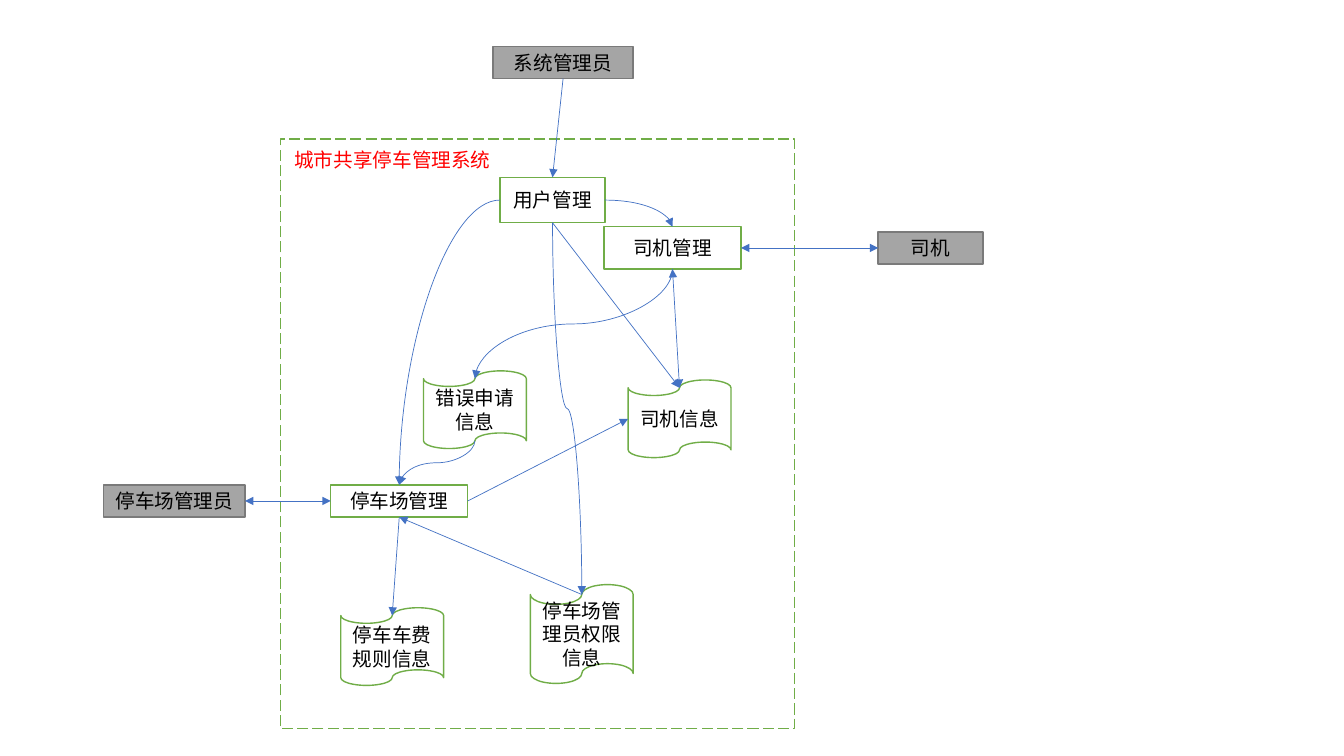
from pptx import Presentation
from pptx.dml.color import RGBColor
from pptx.enum.dml import MSO_LINE
from pptx.enum.shapes import MSO_CONNECTOR as LINK, MSO_SHAPE as SHAPE
from pptx.enum.text import MSO_ANCHOR, MSO_AUTO_SIZE, PP_ALIGN
from pptx.oxml.ns import qn
from pptx.oxml.xmlchemy import OxmlElement
from pptx.util import Inches, Pt

FONT = "Noto Sans CJK SC"
WHITE = RGBColor(0xFF, 0xFF, 0xFF)
BLACK = RGBColor(0, 0, 0)
RED = RGBColor(0xFF, 0, 0)
GREEN = RGBColor(0x70, 0xAD, 0x47)
GRAY = RGBColor(0xA5, 0xA5, 0xA5)
DARK_GRAY = RGBColor(0x7A, 0x7A, 0x7A)
BLUE = RGBColor(0x44, 0x72, 0xC4)
TAPE_WIDTH, TAPE_HEIGHT = 1.02, 0.77
ACTOR_HEIGHT = 0.32


def write(frame, text, color):
    frame.text = text
    for run in frame.paragraphs[0].runs:
        run.font.size = Pt(14)
        run.font.name = FONT
        run.font.color.rgb = color
        east_asian = OxmlElement("a:ea")
        east_asian.set("typeface", FONT)
        run.font._element.find(qn("a:latin")).addnext(east_asian)


def add_box(shapes, kind, left, top, width, height, fill=WHITE, outline=GREEN):
    box = shapes.add_shape(kind, Inches(left), Inches(top), Inches(width), Inches(height))
    box.shadow.inherit = False
    box.fill.solid()
    box.fill.fore_color.rgb = fill
    box.line.color.rgb = outline
    box.line.width = Pt(1)
    return box


def add_node(shapes, text, *geometry, kind=SHAPE.RECTANGLE, **colors):
    node = add_box(shapes, kind, *geometry, **colors)
    write(node.text_frame, text, BLACK)
    node.text_frame.word_wrap = True
    node.text_frame.vertical_anchor = MSO_ANCHOR.MIDDLE
    node.text_frame.paragraphs[0].alignment = PP_ALIGN.CENTER
    return node


def add_actor(shapes, text, left, top, width):
    return add_node(shapes, text, left, top, width, ACTOR_HEIGHT,
                    fill=GRAY, outline=DARK_GRAY)


def add_store(shapes, text, left, top, height=TAPE_HEIGHT):
    return add_node(shapes, text, left, top, TAPE_WIDTH, height, kind=SHAPE.WAVE_STORE
                    if hasattr(SHAPE, "WAVE_STORE") else SHAPE.FLOWCHART_PUNCHED_TAPE)


def add_system(shapes, title):
    """Dashed system boundary grouped with its title."""
    system = shapes.add_group_shape().shapes
    boundary = add_box(system, SHAPE.RECTANGLE, 2.78, 1.38, 5.1, 5.85)
    boundary.line.dash_style = MSO_LINE.LONG_DASH
    label = system.add_textbox(Inches(2.82), Inches(1.42), Inches(2.33), Inches(0.34))
    write(label.text_frame, title, RED)
    label.text_frame.word_wrap = False
    label.text_frame.auto_size = MSO_AUTO_SIZE.SHAPE_TO_FIT_TEXT


def side_point(node, side):
    """Middle of a side; a tape's wavy edges cross it a tenth inside."""
    is_tape = node.auto_shape_type == SHAPE.FLOWCHART_PUNCHED_TAPE
    wave = node.height // 10 if is_tape else 0
    center_x = node.left + node.width // 2
    center_y = node.top + node.height // 2
    return {
        "top": (center_x, node.top + wave),
        "bottom": (center_x, node.top + node.height - wave),
        "left": (node.left, center_y),
        "right": (node.left + node.width, center_y),
    }[side]


def style_arrow(arrow, both_ends):
    arrow.line.color.rgb = BLUE
    arrow.line.width = Pt(0.5)
    properties = arrow.element.spPr
    line = properties.find(qn("a:ln"))
    for tag in ("a:headEnd", "a:tailEnd") if both_ends else ("a:tailEnd",):
        end = OxmlElement(tag)
        end.set("type", "triangle")
        line.append(end)
    properties.append(OxmlElement("a:effectLst"))


def add_arrow(shapes, source, source_side, target, target_side, both_ends=False):
    arrow = shapes.add_connector(LINK.STRAIGHT, *side_point(source, source_side),
                                 *side_point(target, target_side))
    style_arrow(arrow, both_ends)


def add_bend(shapes, source, source_side, target):
    """Quarter curve leaving sideways and entering the target from above."""
    arrow = shapes.add_connector(LINK.CURVE, *side_point(source, source_side),
                                 *side_point(target, "top"))
    arrow.element.spPr.find(qn("a:prstGeom")).set("prst", "curvedConnector2")
    style_arrow(arrow, False)


def add_s_curve(shapes, source, target, both_ends=False):
    """S curve leaving downwards: a horizontal one turned by a quarter."""
    x1, y1 = side_point(source, "bottom")
    x2, y2 = side_point(target, "top")
    middle_x, middle_y = (x1 + x2) // 2, (y1 + y2) // 2
    half_length, half_width = (y2 - y1) // 2, abs(x2 - x1) // 2
    arrow = shapes.add_connector(
        LINK.CURVE, middle_x - half_length, middle_y - half_width,
        middle_x + half_length, middle_y + half_width)
    transform = arrow.element.spPr.find(qn("a:xfrm"))
    to_right = x2 > x1
    transform.set("rot", str((270 if to_right else 90) * 60000))
    if to_right:
        transform.set("flipH", "1")
    style_arrow(arrow, both_ends)


def main():
    deck = Presentation()
    deck.slide_width, deck.slide_height = Inches(13.33), Inches(7.5)
    shapes = deck.slides.add_slide(deck.slide_layouts[6]).shapes

    add_system(shapes, "城市共享停车管理系统")

    admin = add_actor(shapes, "系统管理员", 4.89, 0.46, 1.39)
    lot_admin = add_actor(shapes, "停车场管理员", 1.03, 4.81, 1.4)
    driver = add_actor(shapes, "司机", 8.71, 2.3, 1.04)

    users = add_node(shapes, "用户管理", 4.96, 1.76, 1.04, 0.45)
    lots = add_node(shapes, "停车场管理", 3.28, 4.81, 1.36, 0.32)
    drivers = add_node(shapes, "司机管理", 5.99, 2.25, 1.36, 0.42)

    fee_rules = add_store(shapes, "停车车费规则信息", 3.38, 6.03)
    driver_info = add_store(shapes, "司机信息", 6.23, 3.77)
    permissions = add_store(shapes, "停车场管理员权限信息", 5.26, 5.8, 0.98)
    error_claims = add_store(shapes, "错误申请信息", 4.2, 3.68)

    add_arrow(shapes, driver, "left", drivers, "right", both_ends=True)
    add_arrow(shapes, admin, "bottom", users, "top")
    add_arrow(shapes, lot_admin, "right", lots, "left", both_ends=True)
    add_arrow(shapes, lots, "bottom", fee_rules, "top")
    add_arrow(shapes, permissions, "top", lots, "bottom")
    add_arrow(shapes, lots, "right", driver_info, "left")
    add_arrow(shapes, users, "bottom", driver_info, "top")
    add_arrow(shapes, drivers, "bottom", driver_info, "top", both_ends=True)

    add_bend(shapes, users, "left", lots)
    add_bend(shapes, users, "right", drivers)
    # The claim is raised by drivers and handled by the parking lots.
    add_s_curve(shapes, drivers, error_claims)
    add_s_curve(shapes, error_claims, lots)
    add_s_curve(shapes, users, permissions)

    deck.save("out.pptx")


if __name__ == "__main__":
    main()
